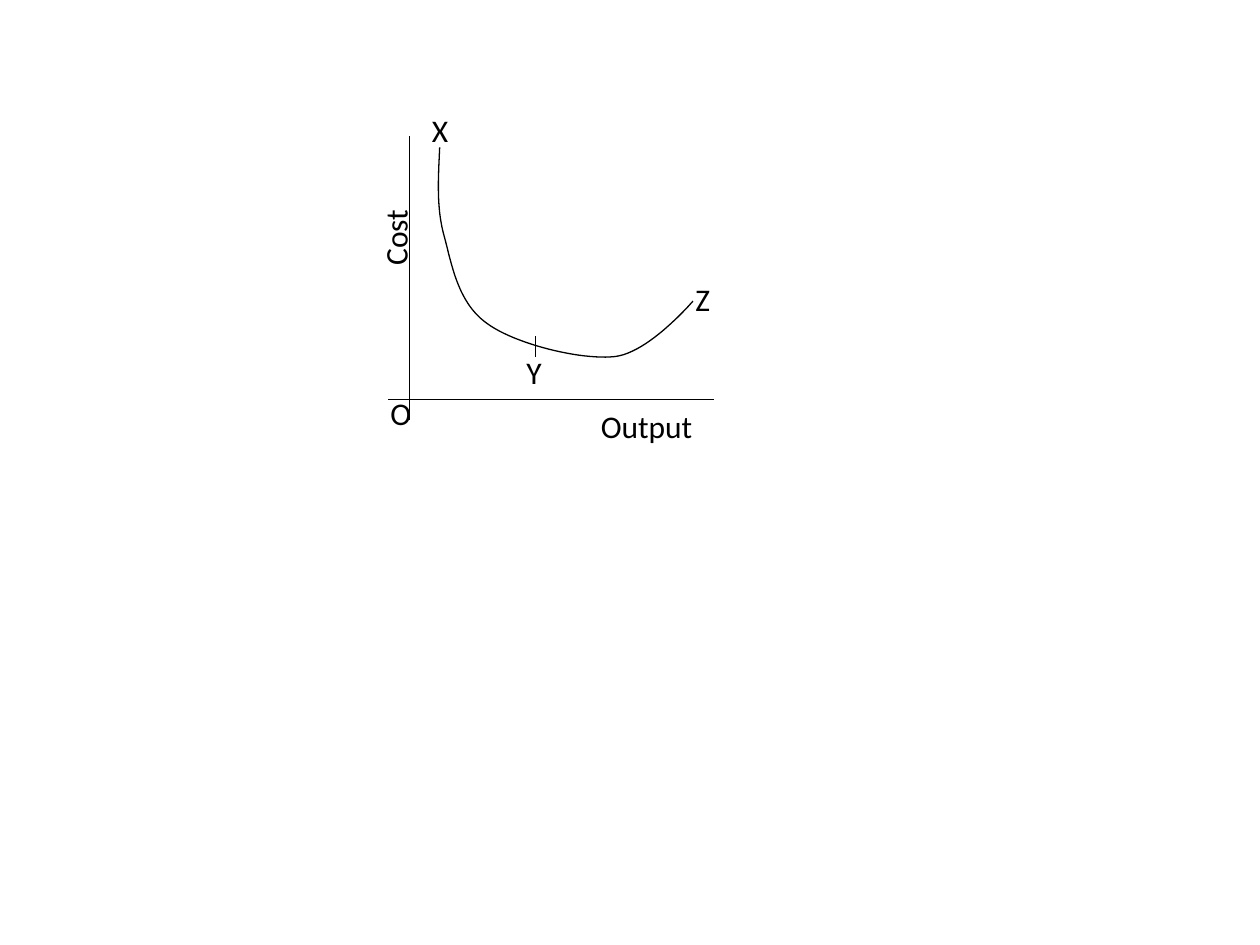
from lxml.etree import SubElement
from pptx import Presentation
from pptx.dml.color import RGBColor
from pptx.enum.shapes import MSO_CONNECTOR
from pptx.enum.text import MSO_AUTO_SIZE
from pptx.oxml.ns import qn
from pptx.util import Inches, Pt

COLORS = {"ink": "000000"}
INK = RGBColor.from_string(COLORS["ink"])
FONT, SIZE = "Calibri", 18
LABEL_HEIGHT = 0.4
STEPS = 24  # straight pieces per curve segment

# x1, y1, x2, y2
COST_AXIS = (3.25, 1.08, 3.25, 3.33)
OUTPUT_AXIS = (3.08, 3.17, 5.67, 3.17)
TICK_AT_Y = (4.25, 2.67, 4.25, 2.83)
# Start point, then two control points and an end point per segment
CURVE_START = (3.49, 1.17)
CURVE = [
    ((3.48, 1.41), (3.46, 1.65), (3.53, 1.89)),
    ((3.59, 2.12), (3.64, 2.41), (3.87, 2.57)),
    ((4.09, 2.73), (4.61, 2.86), (4.88, 2.83)),
    ((5.15, 2.80), (5.50, 2.39), (5.50, 2.39)),
]
# text, left, top, width, rotation
LABELS = [
    ("X", 3.33, 0.83, 0.33, 0),
    ("Y", 4.08, 2.75, 0.32, 0),
    ("Z", 5.42, 2.17, 0.32, 0),
    ("Output", 4.67, 3.18, 0.94, 0),
    ("O", 3.00, 3.08, 0.37, 0),
    ("Cost", 2.78, 1.65, 0.71, 270),
]


def style_line(sp):
    sp.line.color.rgb = INK
    sp.line.width = Pt(0.75)


def add_line(s, ends):
    sp = s.shapes.add_connector(MSO_CONNECTOR.STRAIGHT, *map(Inches, ends))
    style_line(sp)
    SubElement(sp._element.spPr, qn("a:effectLst"))


def bezier(p0, p1, p2, p3, t):
    u = 1 - t
    return tuple(
        Inches(u**3 * a + 3 * u**2 * t * b + 3 * u * t**2 * c + t**3 * d)
        for a, b, c, d in zip(p0, p1, p2, p3)
    )


def add_curve(s):
    points, start = [], CURVE_START
    for segment in CURVE:
        points += [bezier(start, *segment, i / STEPS) for i in range(1, STEPS + 1)]
        start = segment[-1]
    builder = s.shapes.build_freeform(*map(Inches, CURVE_START))
    builder.add_line_segments(points, close=False)
    sp = builder.convert_to_shape()
    sp.fill.background()
    sp.shadow.inherit = False
    style_line(sp)


def add_label(s, text, left, top, width, rotation):
    sp = s.shapes.add_textbox(*map(Inches, (left, top, width, LABEL_HEIGHT)))
    sp.rotation = rotation
    tf = sp.text_frame
    tf.word_wrap = False
    tf.auto_size = MSO_AUTO_SIZE.SHAPE_TO_FIT_TEXT
    p = tf.paragraphs[0]
    p.text = text
    p.font.name, p.font.size = FONT, Pt(SIZE)
    p.font.color.rgb = INK


def main():
    prs = Presentation()
    prs.slide_width, prs.slide_height = Inches(10), Inches(7.5)
    s = prs.slides.add_slide(prs.slide_layouts[6])
    add_line(s, COST_AXIS)
    add_line(s, OUTPUT_AXIS)
    add_curve(s)
    add_line(s, TICK_AT_Y)
    for label in LABELS:
        add_label(s, *label)
    prs.save("out.pptx")


if __name__ == "__main__":
    main()
